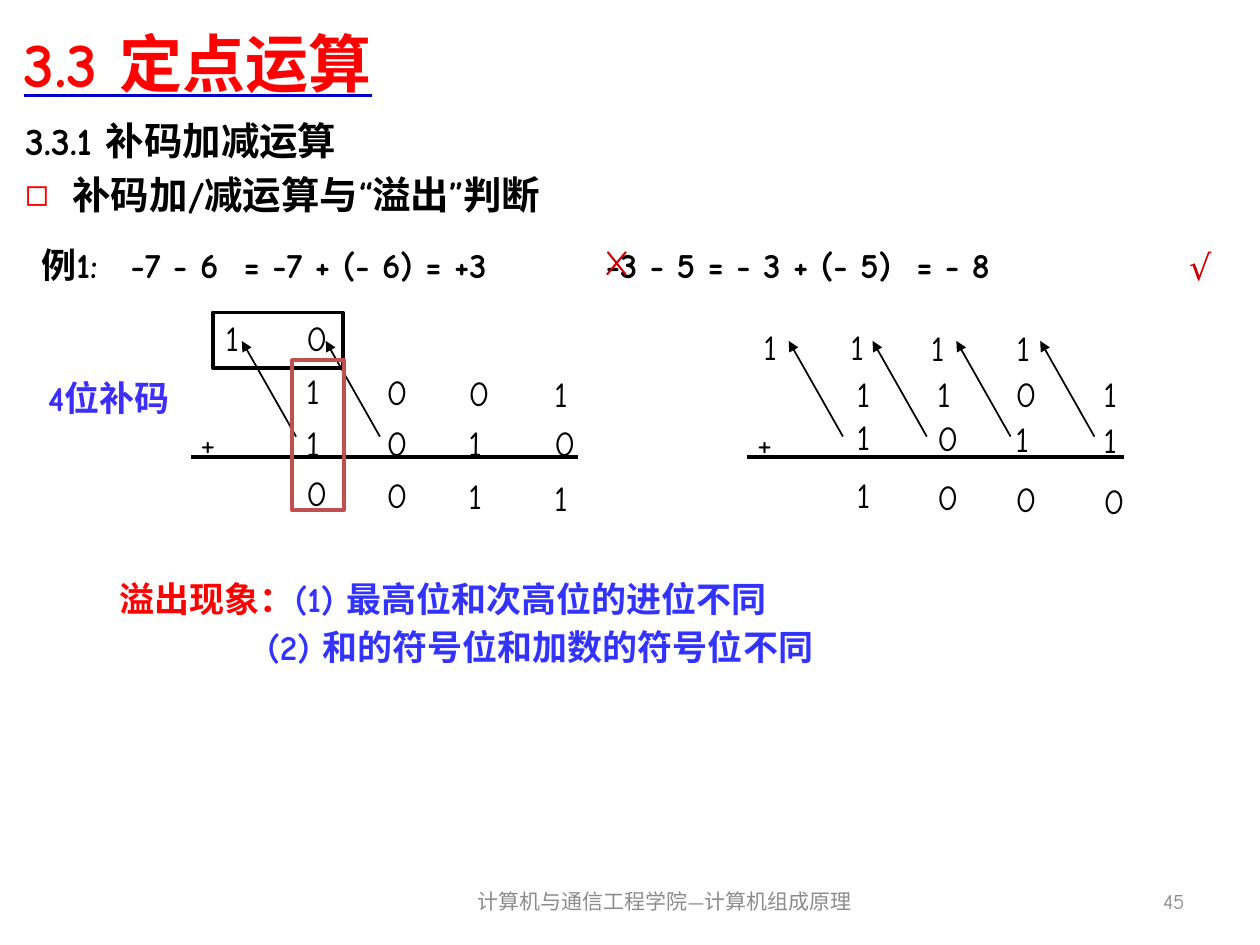
from lxml import etree
from pptx import Presentation
from pptx import util as u
from pptx.dml.color import RGBColor
from pptx.enum import lang, shapes, text as t
from pptx.oxml import ns

FONT = "Comic Neue"
BLACK = RGBColor(0x00, 0x00, 0x00)
RED = RGBColor(0xFF, 0x00, 0x00)
MARK_RED = RGBColor(0xCC, 0x00, 0x00)
FRAME_RED = RGBColor(0xC0, 0x50, 0x4D)
BLUE = RGBColor(0x33, 0x33, 0xFF)
LABEL_BLUE = RGBColor(0x3D, 0x2E, 0xFC)
UNDERLINE_BLUE = RGBColor(0x00, 0x00, 0xCC)
GREY = RGBColor(0x8C, 0x8C, 0x8C)


def add_element(parent, tag, **attributes):
    return etree.SubElement(parent, ns.qn(tag), attributes)


def add_run(paragraph, text, size=20, color=BLACK, bold=False, underline=None):
    run = paragraph.add_run()
    run.text = text
    font = run.font
    font.name, font.size, font.bold = FONT, u.Pt(size), bold
    font.color.rgb = color
    font.language_id = lang.MSO_LANGUAGE_ID.SIMPLIFIED_CHINESE
    latin = font._element.find(ns.qn("a:latin"))
    latin.addnext(etree.Element(ns.qn("a:ea"), typeface=FONT))
    if underline is not None:
        font.underline = True
        underline_fill = etree.Element(ns.qn("a:uFill"))
        solid = add_element(underline_fill, "a:solidFill")
        add_element(solid, "a:srgbClr", val=str(underline))
        latin.addprevious(underline_fill)


class SlideBuilder:
    def __init__(self, slide):
        self.slide = slide

    def placeholder(self, index, left, top, width, height, anchor):
        shape = self.slide.placeholders[index]
        shape.left, shape.top = u.Pt(left), u.Pt(top)
        shape.width, shape.height = u.Pt(width), u.Pt(height)
        frame = shape.text_frame
        frame.auto_size = t.MSO_AUTO_SIZE.NONE
        frame.vertical_anchor = anchor
        return frame

    def text_box(self, left, top, width, height, text="", wrap=True, grow=True,
                 align=t.PP_ALIGN.LEFT, anchor=t.MSO_ANCHOR.TOP, **style):
        shape = self.slide.shapes.add_textbox(
            u.Pt(left), u.Pt(top), u.Pt(width), u.Pt(height))
        frame = shape.text_frame
        frame.word_wrap = wrap
        frame.auto_size = (t.MSO_AUTO_SIZE.SHAPE_TO_FIT_TEXT if grow
                           else t.MSO_AUTO_SIZE.NONE)
        frame.vertical_anchor = anchor
        paragraph = frame.paragraphs[0]
        paragraph.alignment = align
        if text:
            add_run(paragraph, text, **style)
        return frame

    def symbol(self, left, top, text):
        width = 26.6 if text == "0" else 23.8
        self.text_box(left, top, width, 31, text, wrap=False)

    def digits(self, columns, top, step, digits):
        for index, (left, digit) in enumerate(zip(columns, digits)):
            self.symbol(left, top + index * step, digit)

    def line(self, start, end, width, arrow=False):
        connector = self.slide.shapes.add_connector(
            shapes.MSO_CONNECTOR.STRAIGHT, *map(u.Pt, (*start, *end)))
        connector.line.color.rgb = BLACK
        connector.line.width = u.Pt(width)
        if arrow:
            add_element(connector.line._get_or_add_ln(), "a:tailEnd", type="triangle")
        add_element(connector._element.spPr, "a:effectLst")

    def carry_arrow(self, left, top):
        self.line((left, top), (left - 31, top - 54.7), 1, arrow=True)

    def frame(self, left, top, width, height, color):
        shape = self.slide.shapes.add_shape(
            shapes.MSO_SHAPE.RECTANGLE, *map(u.Pt, (left, top, width, height)))
        shape.shadow.inherit = False
        shape.fill.background()
        shape.line.color.rgb = color
        shape.line.width = u.Pt(2.25)


def add_headings(builder):
    title = builder.placeholder(0, 6.5, 5, 648, 61.2, t.MSO_ANCHOR.MIDDLE)
    title.paragraphs[0].alignment = t.PP_ALIGN.LEFT
    add_run(title.paragraphs[0], "3.3 定点运算", size=36, color=RED, bold=True,
            underline=UNDERLINE_BLUE)

    body = builder.placeholder(1, 7.2, 63.4, 693.4, 402.5, t.MSO_ANCHOR.TOP)
    section, topic = body.paragraphs[0], body.add_paragraph()
    section_format = section._p.get_or_add_pPr()
    section_format.set("marL", "0")
    section_format.set("indent", "0")
    add_element(section_format, "a:buNone")
    section.space_before = u.Pt(0)
    add_run(section, "3.3.1 补码加减运算", size=22, bold=True)

    topic_format = topic._p.get_or_add_pPr()
    topic_format.set("marL", str(u.Pt(27)))
    topic_format.set("indent", str(u.Pt(-27)))
    bullet_color = add_element(topic_format, "a:buClr")
    add_element(bullet_color, "a:srgbClr", val=str(RED))
    add_element(topic_format, "a:buChar", char="◻")
    topic.space_before = u.Pt(4.4)
    add_run(topic, "补码加/减运算与“溢出”判断", size=22, bold=True)


def add_equations(builder):
    frame = builder.text_box(16.6, 135.4, 710.6, 28, grow=False)
    paragraph = frame.paragraphs[0]
    tabs = add_element(paragraph._p.get_or_add_pPr(), "a:tabLst")
    for position in (51, 115.5, 322.5, 500):
        add_element(tabs, "a:tab", pos=str(u.Pt(position)), algn="l")
    add_run(paragraph, "例1:\t-7 - 6\t= -7 + (- 6) = +3\t-3 - 5 = - 3 + (- 5)\t= - 8",
            bold=True)
    builder.text_box(338.4, 133.9, 38.9, 31.7, "X", color=MARK_RED)
    builder.text_box(672.5, 136.8, 38.9, 31.7, "√", color=MARK_RED)


def add_sums(builder):
    # Each row: column positions, top, drop per column, digits
    left_columns = (167.8, 213.8, 260.6, 309.6)
    right_columns = (482.4, 528.5, 573.1, 623.5)
    rows = (
        ((121.7, 167.8), 177.1, 0, "10"),
        (left_columns, 207.8, 0.5, "1001"),
        (left_columns, 237.4, 0, "1010"),
        (left_columns, 266, 0.9, "0011"),
        ((429.1, 478.8, 524.9, 573.8), 182.2, 0.3, "1111"),
        (right_columns, 209.3, 0, "1101"),
        (right_columns, 234, 0.6, "1011"),
        (right_columns, 267.1, 1.2, "1000"),
    )
    for row in rows:
        builder.digits(*row)
    for plus_left, line_left, line_right in ((107.3, 109.4, 330.5), (425.5, 427, 642.2)):
        builder.symbol(plus_left, 237.6, "+")
        builder.line((line_left, 261.4), (line_right, 261.4), 2.25)

    # Carries
    for first, count in ((169.2, 2), (481.7, 4)):
        for index in range(count):
            builder.carry_arrow(first + index * 47.9, 249.5)
    builder.frame(121.7, 178.6, 74.2, 31.7, BLACK)
    builder.frame(167, 205.9, 29.5, 85.7, FRAME_RED)

    label = builder.text_box(20.2, 208.1, 107.3, 35.3, "4位补码", color=LABEL_BLUE,
                             bold=True)
    label.paragraphs[0].line_spacing = 1.15


def add_conclusion(builder):
    frame = builder.text_box(61.2, 322.6, 639.4, 63.4)
    first, second = frame.paragraphs[0], frame.add_paragraph()
    add_run(first, "溢出现象：", color=RED, bold=True)
    add_run(first, "(1) 最高位和次高位的进位不同", color=BLUE, bold=True)
    second._p.get_or_add_pPr().set("marL", str(u.Pt(84.5)))
    add_run(second, "(2) 和的符号位和加数的符号位不同", color=BLUE, bold=True)
    for paragraph in (first, second):
        paragraph.line_spacing = 1.15


def add_footer(builder):
    style = dict(grow=False, anchor=t.MSO_ANCHOR.MIDDLE, size=12, color=GREY)
    builder.text_box(246.2, 500.4, 267.1, 28.8, "计算机与通信工程学院—计算机组成原理",
                     align=t.PP_ALIGN.CENTER, **style)
    builder.text_box(516.2, 500.4, 167.8, 28.8, "45", align=t.PP_ALIGN.RIGHT, **style)


def main():
    presentation = Presentation()
    presentation.slide_width, presentation.slide_height = u.Pt(720), u.Pt(540)
    builder = SlideBuilder(presentation.slides.add_slide(presentation.slide_layouts[1]))
    add_headings(builder)
    add_equations(builder)
    add_sums(builder)
    add_conclusion(builder)
    add_footer(builder)
    presentation.save("out.pptx")


if __name__ == "__main__":
    main()
